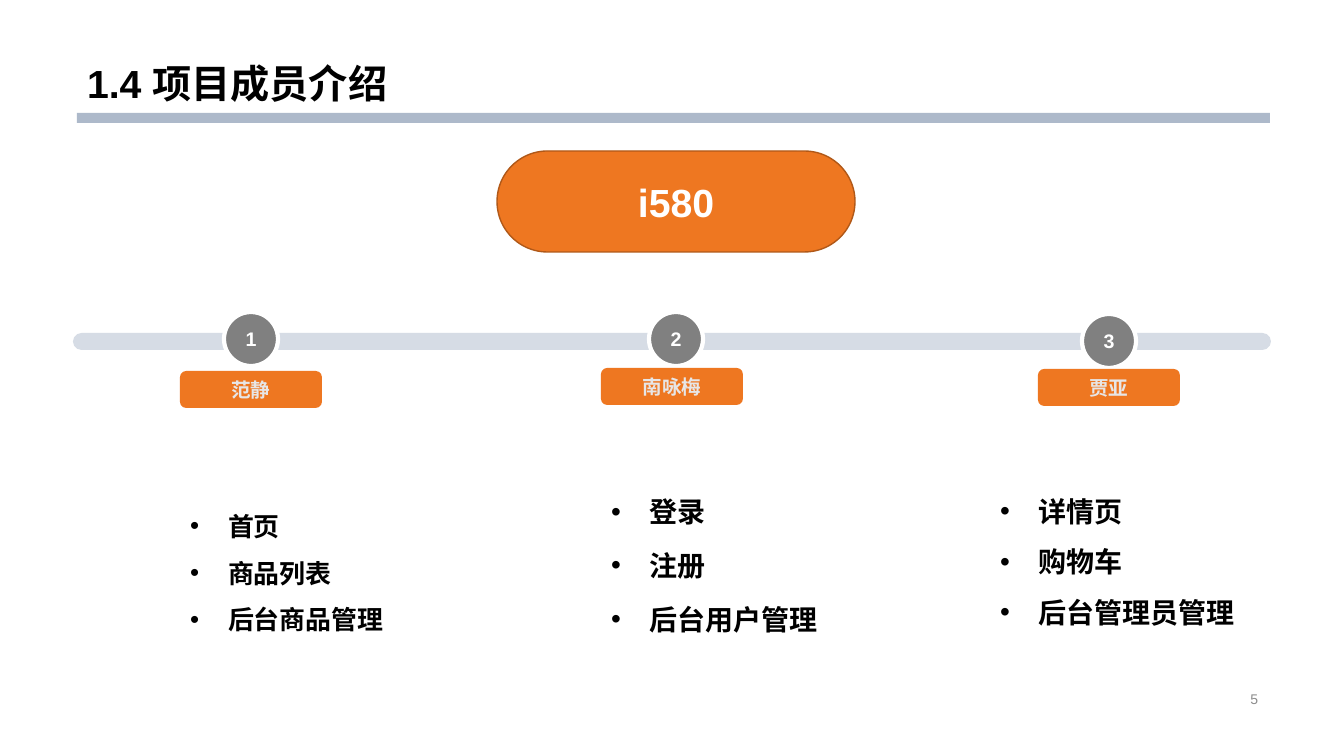
from pptx import Presentation
from pptx.dml.color import RGBColor
from pptx.enum.shapes import MSO_SHAPE
from pptx.enum.text import MSO_ANCHOR, MSO_AUTO_SIZE, PP_ALIGN
from pptx.oxml.ns import qn
from pptx.util import Emu, Pt
from lxml.etree import SubElement

BLACK = RGBColor(0x00, 0x00, 0x00)
WHITE = RGBColor(0xFF, 0xFF, 0xFF)
PALE = RGBColor(0xE7, 0xE6, 0xE6)
GRAY = RGBColor(0x80, 0x80, 0x80)
DIM = RGBColor(0x8C, 0x8C, 0x8C)
STEEL = RGBColor(0xAD, 0xB9, 0xCA)
MIST = RGBColor(0xD6, 0xDC, 0xE5)
ORANGE = RGBColor(0xEE, 0x77, 0x21)
RUST = RGBColor(0xB0, 0x58, 0x18)

# number, name, circle place, tag place, list box, text size, line spacings, tasks
MEMBERS = [
    ("1", "范静", (224, 312), (180, 371), (180, 473, 237, 167), 18.5,
     (1.9, 1.5, 1.5), ("首页", "商品列表", "后台商品管理")),
    ("2", "南咏梅", (649, 312), (601, 368), (601, 469, 237, 172), 20,
     (1.6, 1.6, 1.6), ("登录", "注册", "后台用户管理")),
    ("3", "贾亚", (1082, 314), (1038, 369), (990, 462, 256, 172), 20,
     (1.5, 1.5, 1.5), ("详情页", "购物车", "后台管理员管理")),
]


def px(count):
    return Emu(round(count * 914400 / 100.8))


class Deck:
    font = "Arial"

    def __init__(self, slide):
        self.slide = slide

    def place(self, shape, box):
        shape.left, shape.top, shape.width, shape.height = map(px, box)

    def run(self, para, text, size, color, bold=True):
        run = para.add_run()
        run.text = text
        font = run.font
        font.name, font.size, font.bold = self.font, Pt(size), bold
        font.color.rgb = color

    def frame(self, shape, anchor, wrap=True):
        frame = shape.text_frame
        frame.auto_size = MSO_AUTO_SIZE.NONE
        frame.vertical_anchor = anchor
        frame.word_wrap = wrap
        return frame

    def title(self, box, text):
        shape = self.slide.shapes.title
        self.place(shape, box)
        para = self.frame(shape, MSO_ANCHOR.BOTTOM).paragraphs[0]
        para.alignment = PP_ALIGN.LEFT
        para.line_spacing = 0.9
        self.run(para, text, 28, BLACK)

    def shape(self, kind, box, fill, line=None, width=1, round_by=None):
        shape = self.slide.shapes.add_shape(kind, *map(px, box))
        shape.shadow.inherit = False
        shape.fill.solid()
        shape.fill.fore_color.rgb = fill
        if line is None:
            shape.line.fill.background()
        else:
            shape.line.color.rgb = line
            shape.line.width = Pt(width)
        if round_by is not None:
            shape.adjustments[0] = round_by
        return shape

    def label(self, shape, text, size, color, anchor=MSO_ANCHOR.MIDDLE):
        para = self.frame(shape, anchor, wrap=False).paragraphs[0]
        para.alignment = PP_ALIGN.CENTER
        self.run(para, text, size, color)

    def note(self, box, text):
        """Small right-aligned text."""
        shape = self.slide.shapes.add_textbox(*map(px, box))
        para = self.frame(shape, MSO_ANCHOR.MIDDLE).paragraphs[0]
        para.alignment = PP_ALIGN.RIGHT
        self.run(para, text, 10, DIM, bold=False)

    def list(self, holder, box, items, size, gaps):
        self.place(holder, box)
        frame = self.frame(holder, MSO_ANCHOR.BOTTOM)
        for index, (item, gap) in enumerate(zip(items, gaps)):
            para = frame.add_paragraph() if index else frame.paragraphs[0]
            para.alignment = PP_ALIGN.LEFT
            para.line_spacing = gap
            para.space_before = para.space_after = Pt(0)
            self.bullet(para)
            self.run(para, item, size, BLACK)

    def bullet(self, para):
        props = para._p.get_or_add_pPr()
        props.set("marL", str(px(38)))
        props.set("indent", str(-px(38)))
        SubElement(props, qn("a:buFont")).set("typeface", self.font)
        SubElement(props, qn("a:buChar")).set("char", "•")


def main():
    prs = Presentation()
    prs.slide_width, prs.slide_height = px(1344), px(756)
    slide = prs.slides.add_slide(prs.slide_layouts.get_by_name("Comparison"))
    deck = Deck(slide)

    deck.shape(MSO_SHAPE.RECTANGLE, (77, 113, 1193, 10), STEEL)
    deck.title((77, 0, 1190, 112), "1.4 项目成员介绍")
    deck.note((950, 687, 318, 23), "5")

    project = deck.shape(MSO_SHAPE.ROUNDED_RECTANGLE, (497, 151, 358, 101),
                         ORANGE, RUST, round_by=0.5)
    deck.label(project, "i580", 28, WHITE)
    deck.shape(MSO_SHAPE.ROUNDED_RECTANGLE, (73, 333, 1198, 17), MIST,
               round_by=0.5)

    _, *bodies, spare = slide.placeholders
    for holder, member in zip(bodies, MEMBERS):
        number, name, spot, corner, box, size, gaps, tasks = member
        circle = deck.shape(MSO_SHAPE.OVAL, (*spot, 54, 54), GRAY, WHITE, 3)
        deck.label(circle, number, 14, WHITE)
        tag = deck.shape(MSO_SHAPE.ROUNDED_RECTANGLE, (*corner, 142, 37), ORANGE)
        deck.label(tag, name, 14, PALE, MSO_ANCHOR.TOP)
        deck.list(holder, box, tasks, size, gaps)
    spare.element.getparent().remove(spare.element)

    prs.save("out.pptx")


if __name__ == "__main__":
    main()
